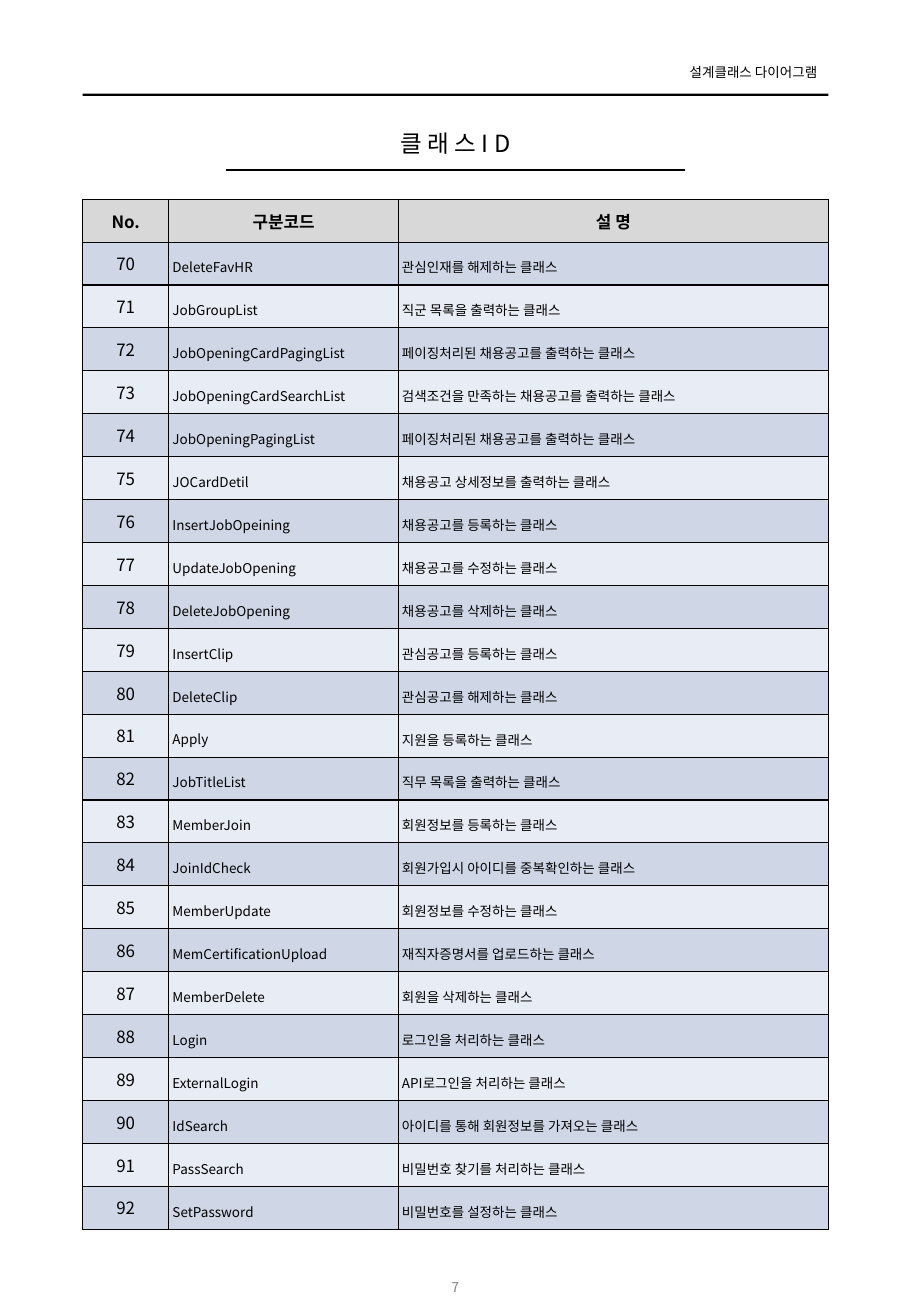
from lxml.etree import SubElement
from pptx import Presentation
from pptx.dml.color import RGBColor
from pptx.enum.shapes import MSO_CONNECTOR, MSO_SHAPE
from pptx.enum.text import MSO_ANCHOR, PP_ALIGN
from pptx.oxml.ns import qn
from pptx.util import Inches, Pt

FONT = "Noto Sans CJK KR"
BLACK = RGBColor(0x00, 0x00, 0x00)
PAGE_GRAY = RGBColor(0x7F, 0x7F, 0x7F)
HEADER_GRAY = RGBColor(0xD8, 0xD8, 0xD8)
BANDS = RGBColor(0xCF, 0xD7, 0xE7), RGBColor(0xE8, 0xEC, 0xF4)

SLIDE_WIDTH, SLIDE_HEIGHT = 7.5, 10.83
MARGIN = 0.68
CONTENT_WIDTH = 6.14
COLUMN_WIDTHS = 0.71, 1.89, 3.54
TABLE_TOP, TABLE_HEIGHT = 1.64, 8.46
BOX_INSETS = 0.1, 0.05, 0.1, 0.05
ENTRY_INSETS = 0.03, 0.1, 0.03, 0.1

FIRST_NUMBER = 70
HEADINGS = "No.", "구분코드", "설 명"
CLASSES = [
    ("DeleteFavHR", "관심인재를 해제하는 클래스"),
    ("JobGroupList", "직군 목록을 출력하는 클래스"),
    ("JobOpeningCardPagingList", "페이징처리된 채용공고를 출력하는 클래스"),
    ("JobOpeningCardSearchList", "검색조건을 만족하는 채용공고를 출력하는 클래스"),
    ("JobOpeningPagingList", "페이징처리된 채용공고를 출력하는 클래스"),
    ("JOCardDetil", "채용공고 상세정보를 출력하는 클래스"),
    ("InsertJobOpeining", "채용공고를 등록하는 클래스"),
    ("UpdateJobOpening", "채용공고를 수정하는 클래스"),
    ("DeleteJobOpening", "채용공고를 삭제하는 클래스"),
    ("InsertClip", "관심공고를 등록하는 클래스"),
    ("DeleteClip", "관심공고를 해제하는 클래스"),
    ("Apply", "지원을 등록하는 클래스"),
    ("JobTitleList", "직무 목록을 출력하는 클래스"),
    ("MemberJoin", "회원정보를 등록하는 클래스"),
    ("JoinIdCheck", "회원가입시 아이디를 중복확인하는 클래스"),
    ("MemberUpdate", "회원정보를 수정하는 클래스"),
    ("MemCertificationUpload", "재직자증명서를 업로드하는 클래스"),
    ("MemberDelete", "회원을 삭제하는 클래스"),
    ("Login", "로그인을 처리하는 클래스"),
    ("ExternalLogin", "API로그인을 처리하는 클래스"),
    ("IdSearch", "아이디를 통해 회원정보를 가져오는 클래스"),
    ("PassSearch", "비밀번호 찾기를 처리하는 클래스"),
    ("SetPassword", "비밀번호를 설정하는 클래스"),
]


def write_text(frame, text, size=8, color=BLACK, bold=False,
               align=PP_ALIGN.CENTER, line_spacing=1.0):
    """Write one formatted paragraph into a text frame."""
    paragraph = frame.paragraphs[0]
    paragraph.alignment = align
    paragraph.line_spacing = line_spacing
    run = paragraph.add_run()
    run.text = text
    run.font.size = Pt(size)
    run.font.bold = bold
    run.font.color.rgb = color
    run.font.name = FONT
    SubElement(run.font._element, qn("a:ea"), typeface=FONT)


def set_insets(target, insets):
    """Set left, top, right and bottom margins of a frame or cell."""
    (target.margin_left, target.margin_top,
     target.margin_right, target.margin_bottom) = map(Inches, insets)


def write_box(shape, text, box, insets=BOX_INSETS, anchor=MSO_ANCHOR.TOP, **text_format):
    """Place a text shape and fill it with one paragraph."""
    shape.left, shape.top, shape.width, shape.height = map(Inches, box)
    frame = shape.text_frame
    frame.word_wrap = True
    frame.vertical_anchor = anchor
    set_insets(frame, insets)
    write_text(frame, text, **text_format)


def add_header_bar(slide):
    """Add the solid bar below the running header."""
    bar = slide.shapes.add_shape(
        MSO_SHAPE.RECTANGLE, *map(Inches, (MARGIN, 0.77, CONTENT_WIDTH, 0.02)))
    bar.shadow.inherit = False
    bar.fill.solid()
    bar.fill.fore_color.rgb = BLACK
    bar.line.fill.background()


def add_title_rule(slide):
    """Add the thin line below the title."""
    rule = slide.shapes.add_connector(
        MSO_CONNECTOR.STRAIGHT, *map(Inches, (1.86, 1.4, 5.64, 1.4)))
    rule.line.color.rgb = BLACK
    rule.line.width = Pt(1)
    SubElement(rule._element.spPr, qn("a:effectLst"))


def add_borders(cell):
    """Draw thin black lines on all four sides of a cell."""
    properties = cell._tc.get_or_add_tcPr()
    for index, side in enumerate(("a:lnL", "a:lnR", "a:lnT", "a:lnB")):
        line = properties.makeelement(qn(side), {"w": str(Pt(0.75))})
        fill = SubElement(line, qn("a:solidFill"))
        SubElement(fill, qn("a:srgbClr"), val=str(BLACK))
        properties.insert(index, line)


def fill_cell(cell, text, fill, insets=BOX_INSETS, anchor=MSO_ANCHOR.MIDDLE, **text_format):
    """Write, colour and outline one table cell."""
    cell.fill.solid()
    cell.fill.fore_color.rgb = fill
    cell.vertical_anchor = anchor
    set_insets(cell, insets)
    write_text(cell.text_frame, text, **text_format)
    add_borders(cell)


def add_class_table(slide):
    """Add the table of numbered classes with banded rows."""
    row_count = len(CLASSES) + 1
    table = slide.shapes.add_table(
        row_count, len(HEADINGS),
        *map(Inches, (MARGIN, TABLE_TOP, CONTENT_WIDTH, TABLE_HEIGHT))).table
    for column, width in zip(table.columns, COLUMN_WIDTHS):
        column.width = Inches(width)
    for row in table.rows:
        row.height = Inches(TABLE_HEIGHT / row_count)
    for column, heading in enumerate(HEADINGS):
        fill_cell(table.cell(0, column), heading, HEADER_GRAY, size=10, bold=True)
    entry = dict(insets=ENTRY_INSETS, align=PP_ALIGN.LEFT, line_spacing=1.15)
    for index, (name, description) in enumerate(CLASSES):
        number, code, meaning = table.rows[index + 1].cells
        band = BANDS[index % 2]
        fill_cell(number, str(FIRST_NUMBER + index), band, size=10)
        fill_cell(code, name, band, anchor=MSO_ANCHOR.BOTTOM, **entry)
        fill_cell(meaning, description, band, **entry)


def add_text_box(slide, text, box, **box_format):
    """Add a text box with one paragraph."""
    shape = slide.shapes.add_textbox(*map(Inches, box))
    write_box(shape, text, box, **box_format)


def main():
    """Build the class list slide and save it."""
    presentation = Presentation()
    presentation.slide_width = Inches(SLIDE_WIDTH)
    presentation.slide_height = Inches(SLIDE_HEIGHT)
    slide = presentation.slides.add_slide(presentation.slide_layouts[0])
    subtitle = slide.placeholders[1]._element
    subtitle.getparent().remove(subtitle)

    add_header_bar(slide)
    add_text_box(slide, "설계클래스 다이어그램", (5.47, 0.48, 1.34, 0.24),
                 insets=(0.1, 0.05, 0.08, 0.05), align=PP_ALIGN.RIGHT)
    add_title_rule(slide)
    write_box(slide.shapes.title, "클 래 스 I D", (MARGIN, 1.01, CONTENT_WIDTH, 0.34),
              insets=(0, 0.05, 0, 0.05), size=14)
    add_text_box(slide, "7", (3.28, 10.39, 0.94, 0.4),
                 anchor=MSO_ANCHOR.MIDDLE, color=PAGE_GRAY)
    add_class_table(slide)
    presentation.save("out.pptx")


if __name__ == "__main__":
    main()
